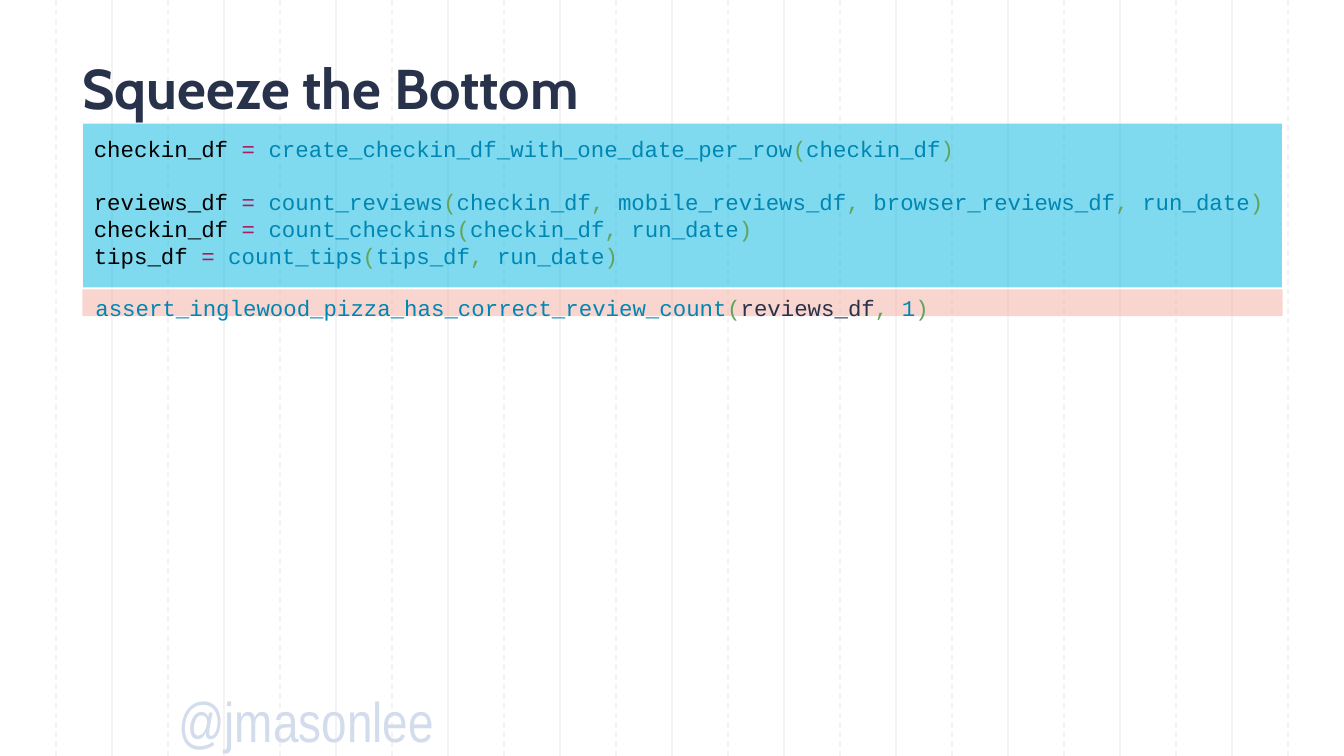
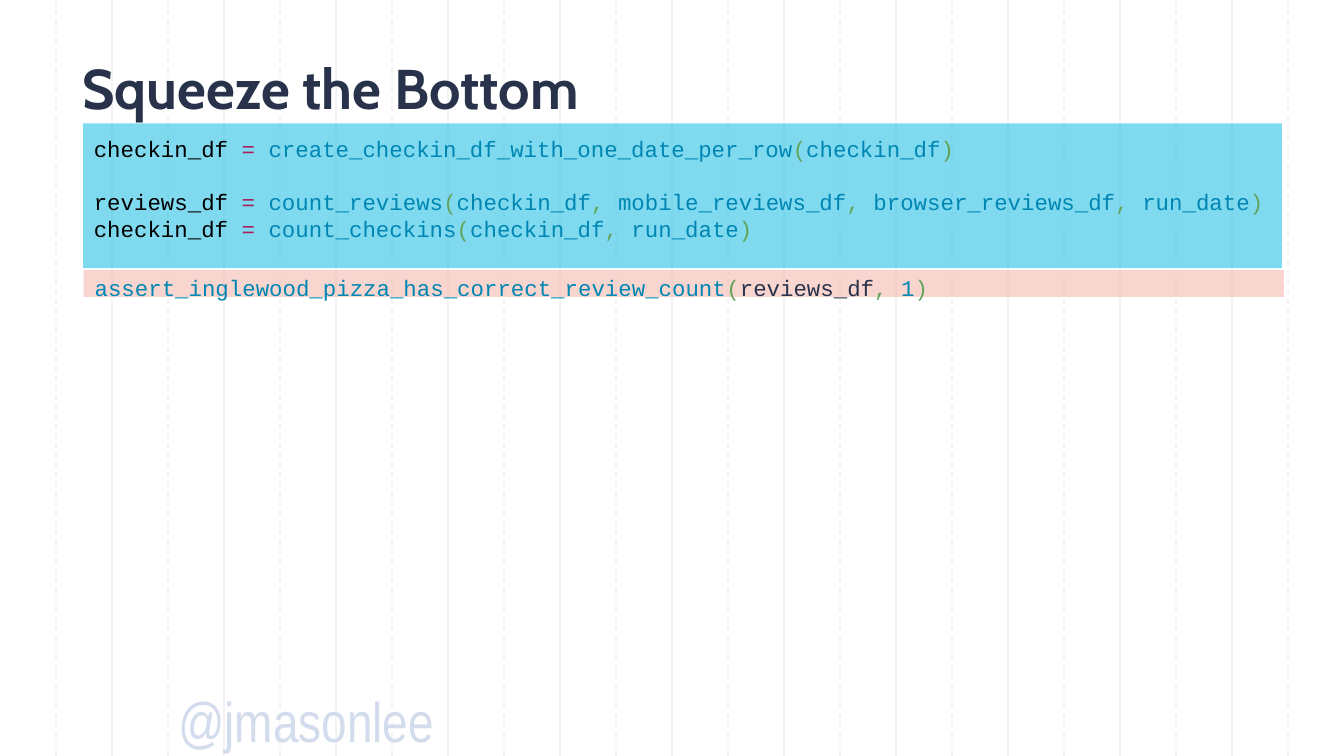
"""Build two slides that shrink a block of pipeline code above its assertion."""
import pptx
import pptx.util
import pptx.dml.color
import pptx.enum.dml
import pptx.enum.shapes
import pptx.enum.text
import pptx.oxml.ns
from lxml import etree

Pt = pptx.util.Pt
W, H = 720, 405
GRID_STEP = 30
COLORS = {
    "grid": "F3F3F3", "navy": "28324A", "handle": "D3DCEC",
    "code_band": "00B6E0", "assert_band": "F5ACA1",
    "target": "000000", "equals": "A71D5D", "name": "0086B3", "punct": "63A35C",
}
RGB = {k: pptx.dml.color.RGBColor.from_string(v) for k, v in COLORS.items()}

CALLS = [
    ("checkin_df", "create_checkin_df_with_one_date_per_row", ["checkin_df"]),
    ("reviews_df", "count_reviews",
     ["checkin_df", "mobile_reviews_df", "browser_reviews_df", "run_date"]),
    ("checkin_df", "count_checkins", ["checkin_df", "run_date"]),
    ("tips_df", "count_tips", ["tips_df", "run_date"]),
]
ASSERTION = [
    ("assert_inglewood_pizza_has_correct_review_count", "name"), ("(", "punct"),
    ("reviews_df", "navy"), (", ", "punct"), ("1", "name"), (")", "punct"),
]
SLIDES = [
    {"calls": CALLS, "code_h": 87.8, "box_h": 94.3,
     "band": (44.2, 155), "assertion": (44, 152.6)},
    {"calls": CALLS[:3], "code_h": 77.5, "box_h": 80,
     "band": (44.8, 144.7), "assertion": (43.6, 141.6)},
]


def add_text(s, x, y, w, h, lines, font, size, bold=False, margins=(0, 0)):
    """Add a text box whose lines are lists of (text, colour key) runs."""
    tf = s.shapes.add_textbox(Pt(x), Pt(y), Pt(w), Pt(h)).text_frame
    tf.word_wrap = True
    tf.auto_size = pptx.enum.text.MSO_AUTO_SIZE.NONE
    tf.margin_left = tf.margin_right = Pt(margins[0])
    tf.margin_top = tf.margin_bottom = Pt(margins[1])
    for i, runs in enumerate(lines):
        p = tf.add_paragraph() if i else tf.paragraphs[0]
        for text, color in runs:
            r = p.add_run()
            r.text = text
            r.font.name = font
            r.font.size = Pt(size)
            r.font.bold = bold
            r.font.color.rgb = RGB[color]
    return tf


def add_band(s, x, y, w, h, color):
    """Add a half-transparent rectangle."""
    sp = s.shapes.add_shape(pptx.enum.shapes.MSO_SHAPE.RECTANGLE, Pt(x), Pt(y), Pt(w), Pt(h))
    sp.shadow.inherit = False
    sp.line.fill.background()
    sp.fill.solid()
    sp.fill.fore_color.rgb = RGB[color]
    clr = sp.fill._xPr.find(".//" + pptx.oxml.ns.qn("a:srgbClr"))
    etree.SubElement(clr, pptx.oxml.ns.qn("a:alpha"), val="50000")


prs = pptx.Presentation()
prs.slide_width, prs.slide_height = Pt(W), Pt(H)

for data in SLIDES:
    s = prs.slides.add_slide(prs.slide_layouts[6])

    for i in range(1, W // GRID_STEP):
        x = Pt(i * GRID_STEP)
        line = s.shapes.add_connector(pptx.enum.shapes.MSO_CONNECTOR.STRAIGHT, x, 0, x, Pt(H))
        line.line.color.rgb = RGB["grid"]
        line.line.width = Pt(0.75)
        if i % 2:
            line.line.dash_style = pptx.enum.dml.MSO_LINE.DASH
        etree.SubElement(line._element.spPr, pptx.oxml.ns.qn("a:effectLst"))

    add_text(s, 95.5, 368, 200, 36, [[("@jmasonlee", "handle")]], "Arial Narrow", 30)
    add_band(s, *data["band"], 643, 14.4, "assert_band")
    add_band(s, 44.6, 66.2, 642.2, data["code_h"], "code_band")

    tf = add_text(s, 44, 31.7, 630, 34.6, [[("Squeeze the Bottom", "navy")]], "Cabin", 30, True)
    tf.vertical_anchor = pptx.enum.text.MSO_ANCHOR.MIDDLE
    tf.paragraphs[0].line_spacing = 0.9

    add_text(s, *data["assertion"], 579.6, 21.6, [ASSERTION], "Courier New", 12, margins=(7.2, 5.2))

    lines = []
    for target, func, args in data["calls"]:
        runs = [(target + " ", "target"), ("= ", "equals"), (func, "name"), ("(", "punct")]
        for i, arg in enumerate(args):
            if i:
                runs.append((", ", "punct"))
            runs.append((arg, "name"))
        lines.append(runs + [(")", "punct")])
    tf = add_text(s, 43.2, 67, 643.7, data["box_h"], lines, "Courier New", 12, margins=(7.2, 5.2))
    for p in tf.paragraphs:
        p.line_spacing = Pt(14.4)
    tf.paragraphs[1].space_before = Pt(14.2)

prs.save("out.pptx")
